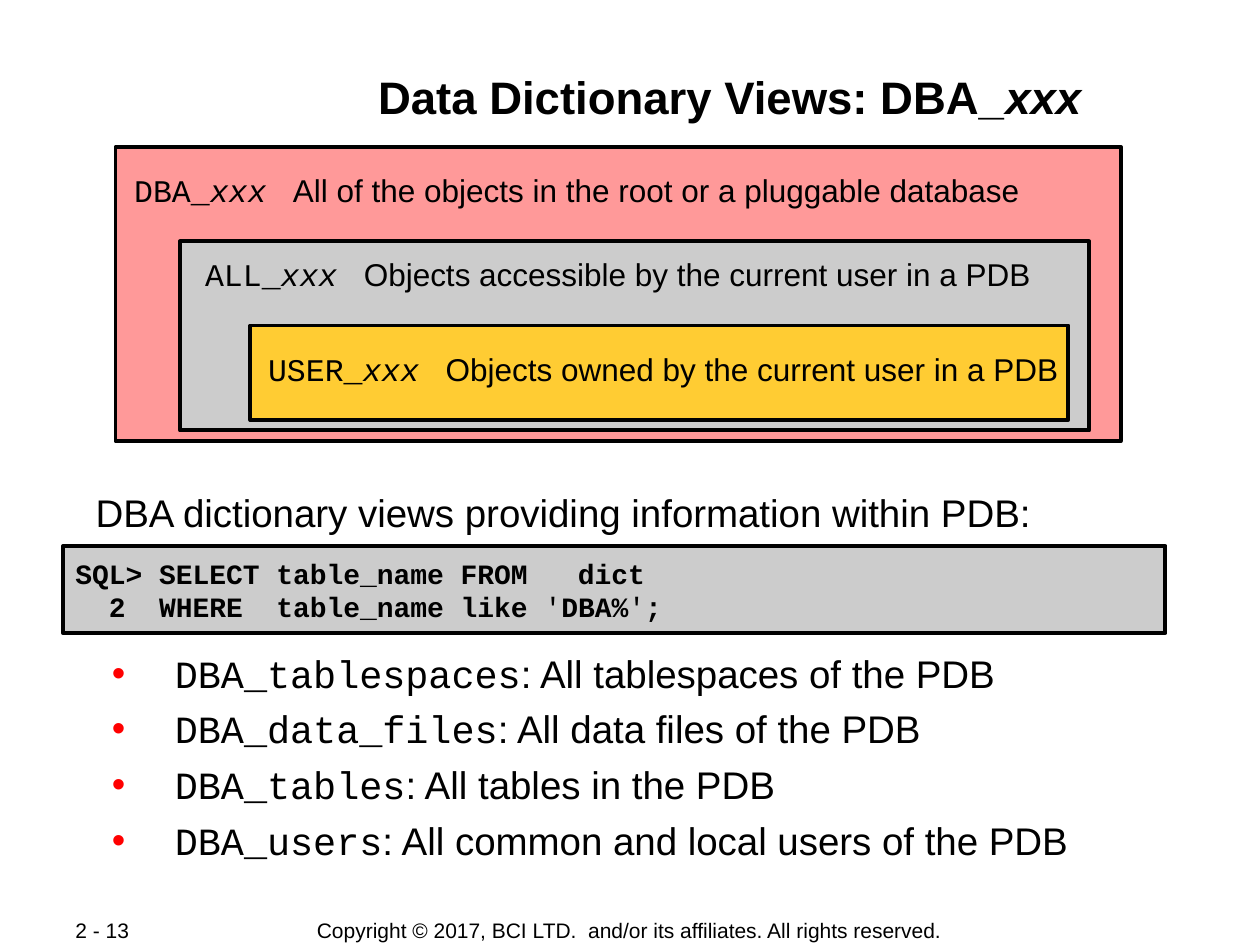
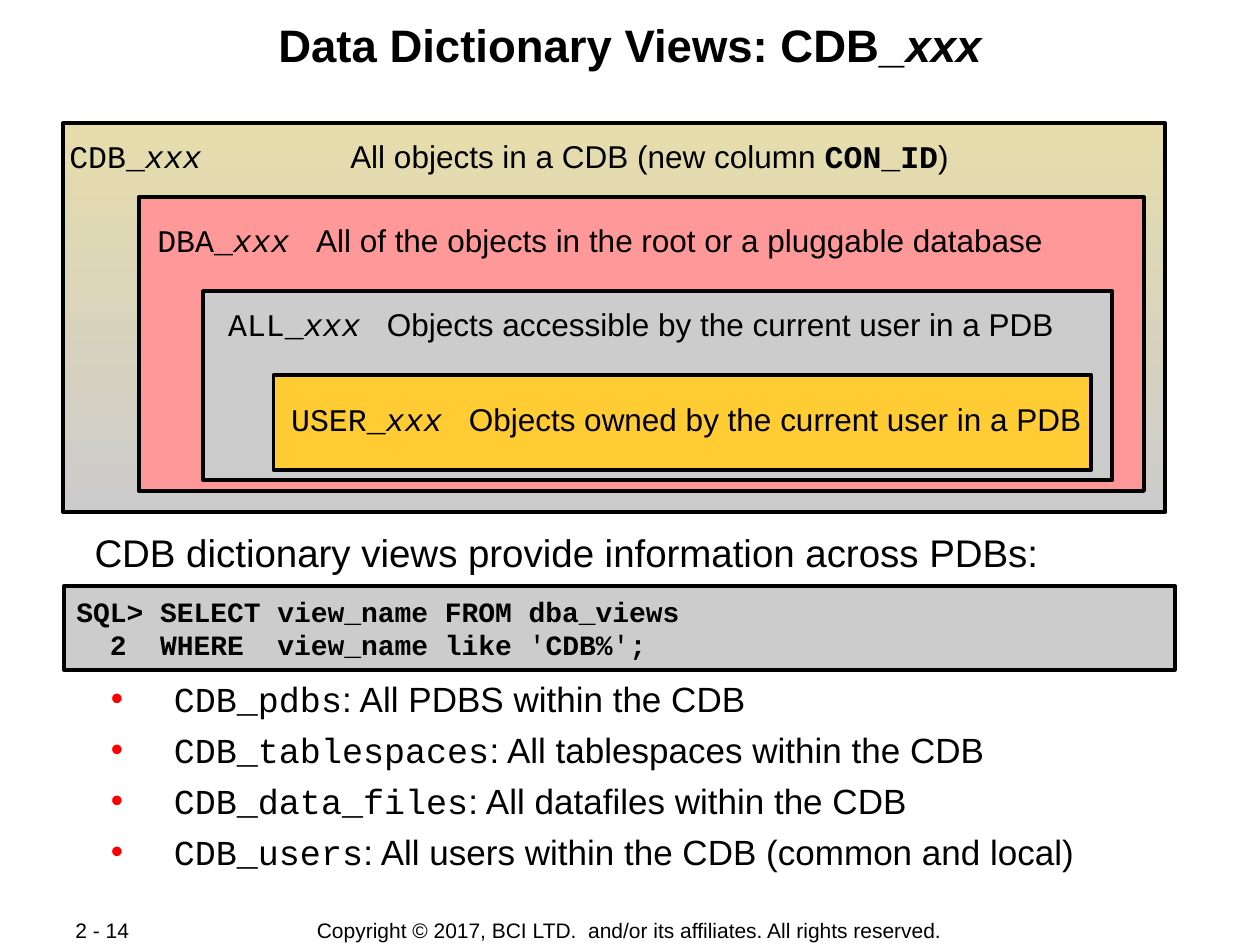
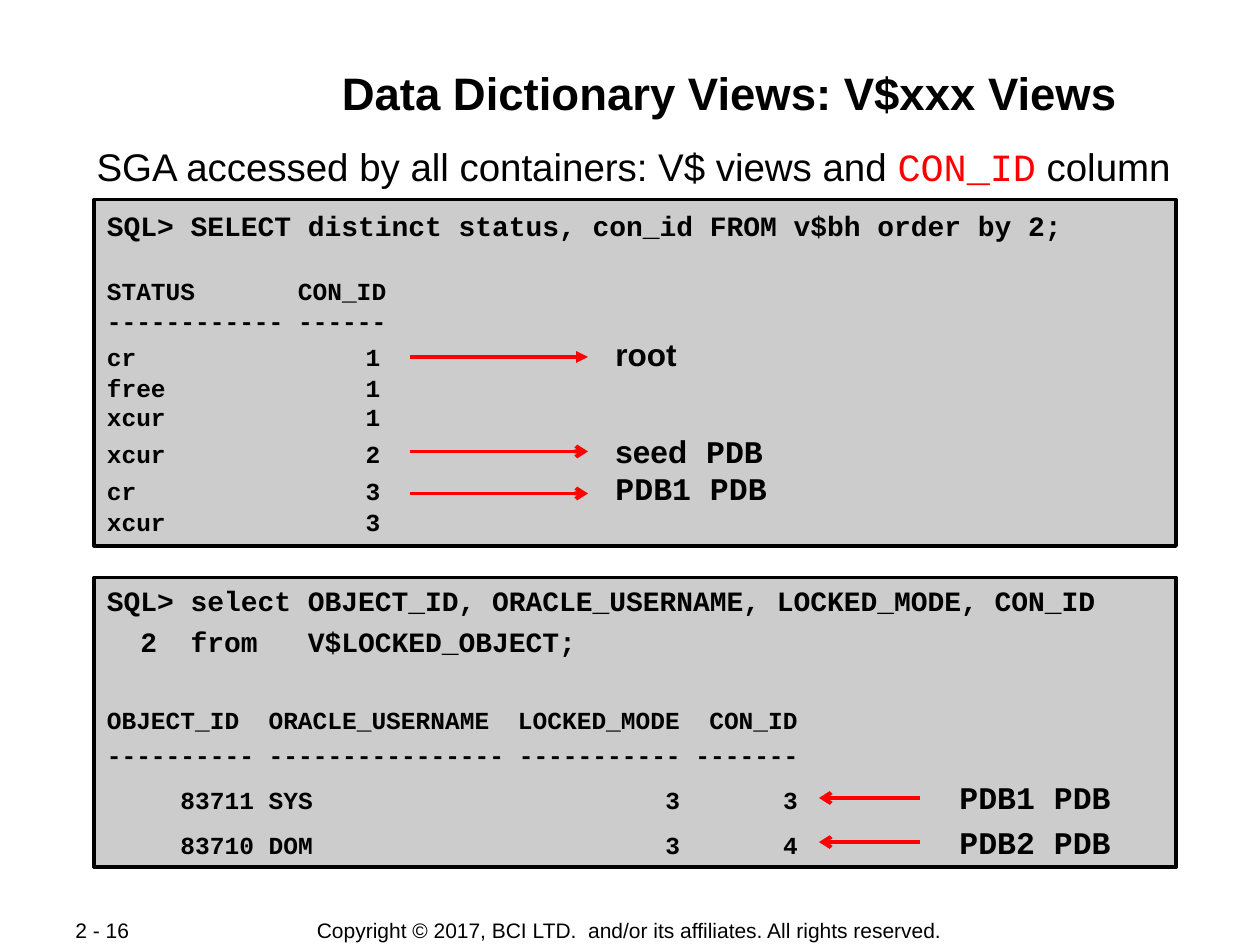
from lxml.etree import SubElement as sub
from pptx import Presentation
from pptx.dml.color import RGBColor
from pptx.enum.shapes import MSO_CONNECTOR as Link, MSO_SHAPE as Form
from pptx.enum.text import MSO_ANCHOR as Anchor, MSO_AUTO_SIZE as Auto, PP_ALIGN as Align
from pptx.oxml.ns import qn
from pptx.util import Inches, Pt

hue = RGBColor.from_string
BLACK, RED, PINK, GREY, GOLD, SAND = "000000", "FF0000", "FF9999", "CCCCCC", "FFCC33", "E6DCAC"

deck = Presentation()
deck.slide_width, deck.slide_height = Inches(10), Inches(7.5)
UNIT = deck.slide_width / 120  # the grid has 120 columns and 90 rows
CHAR = 0.6 * Pt(14)  # width of one letter in the query results

# Run formats
sans = dict(name="Arial")
mono = dict(name="Courier New")
head = dict(sans, bold=True)
code = dict(mono, bold=True)
tag = dict(code, size=Pt(18))
root = dict(head, size=Pt(18))
slant = dict(mono, italic=True)


def span(*area):
    """Turn grid columns and rows into slide lengths."""
    return [round(n * UNIT) for n in area]


def put(frame, lines, size, align=Align.LEFT):
    """Fill a frame; each line is (runs, options), each run (text, format, colour)."""
    frame.auto_size = Auto.NONE
    for i, (runs, opts) in enumerate(lines):
        para = frame.paragraphs[0] if i == 0 else frame.add_paragraph()
        para.alignment = align
        para.space_before = Pt(opts.get("gap", 0))
        para.line_spacing = opts.get("lead", 1.0)
        prop = para._p.get_or_add_pPr()
        dot = opts.get("dot", False)
        if "tabs" not in opts:  # LibreOffice drops tab stops next to an indent
            prop.set("marL", str(Inches(0.63) if dot else 0))
            prop.set("indent", str(Inches(-0.5) if dot else 0))
        if dot:
            sub(sub(prop, qn("a:buClr")), qn("a:srgbClr"), val=RED)
            sub(prop, qn("a:buFont"), typeface="Arial")
            sub(prop, qn("a:buChar"), char="•")
        else:
            sub(prop, qn("a:buNone"))
        if "tabs" in opts:
            tabs = sub(prop, qn("a:tabLst"))
            for pos, side in opts["tabs"]:
                sub(tabs, qn("a:tab"), pos=str(round(pos)), algn=side)
        for text, form, *tint in runs:
            run = para.add_run()
            run.text = text
            font = run.font
            look = dict(size=Pt(opts.get("size", size)), bold=False, italic=False) | form
            for key, val in look.items():
                setattr(font, key, val)
            font.color.rgb = hue(tint[0] if tint else BLACK)


# Nested views: name, text, offset and size of box, offset of label, fill
nest = [
    ("DBA_", "All of the objects in the root or a pluggable database",
     (0, 0, 95.75, 28), (0.6, 1), PINK),
    ("ALL_", "Objects accessible by the current user in a PDB",
     (6.15, 9, 86.6, 18), (7.35, 9), GREY),
    ("USER_", "Objects owned by the current user in a PDB",
     (12.85, 17, 77.9, 9), (13.35, 18), GOLD),
]

# Query results: tab stops in letters
stops = {
    "top": [(13, "l")],
    "row": [(18.6, "r"), (34.6, "l")],
    "lock": [(11, "l"), (39, "r"), (47, "r"), (58, "l")],
}
stops = {key: [(n * CHAR, side) for n, side in val] for key, val in stops.items()}
top, row, lock = [dict(size=14, tabs=val) for val in stops.values()]

status = [
    ([("SQL> SELECT distinct status, con_id FROM v$bh order by 2;", code)], {}),
    ([("STATUS\tCON_ID", code)], dict(top, gap=19.3)),
    ([("------------ ------", code)], top),
    ([("cr\t1\t", code), ("root", root)], row),
    ([("free\t1", code)], row),
    ([("xcur\t1", code)], row),
    ([("xcur\t2\t", code), ("seed", root), (" PDB", tag)], row),
    ([("cr\t3\t", code), ("PDB1 PDB", tag)], row),
    ([("xcur\t3", code)], row),
]
locks = [
    ([("SQL> select OBJECT_ID, ORACLE_USERNAME, LOCKED_MODE, CON_ID", code)], {}),
    ([("  2  from   V$LOCKED_OBJECT;", code)], dict(gap=4)),
    ([("OBJECT_ID\tORACLE_USERNAME\tLOCKED_MODE\tCON_ID", code)], dict(lock, gap=26.8)),
    ([("---------- ---------------- ----------- -------", code)], dict(lock, gap=3.5)),
    ([("     83711 SYS\t3\t3\t", code), ("PDB1 PDB", tag)], dict(lock, gap=4.5)),
    ([("     83710 DOM\t3\t4\t", code), ("PDB2 PDB", tag)], dict(lock, gap=4.5)),
]

pages = [
    dict(
        page="2 - 13", title=[("Data Dictionary Views: DBA_", head), ("xxx", head | slant | sans)],
        spot=(19, 6, 101, 11.5), body=(7.9, 46, 104, 32), nest=(11, 14),
        lead=[("DBA dictionary views providing information within PDB:", sans)],
        size=22, gap=65.2, step=5.5,
        list=[("DBA_tablespaces", "All tablespaces of the PDB"),
              ("DBA_data_files", "All data files of the PDB"),
              ("DBA_tables", "All tables in the PDB"),
              ("DBA_users", "All common and local users of the PDB")],
        code=[((6, 52, 105, 8.3), [
            ([("SQL> SELECT table_name FROM   dict", code)], {}),
            ([("  2  WHERE  table_name like ", code), ("'", mono), ("DBA%", code),
              ("'", mono), (";", code)], {})])],
    ),
    dict(
        page="2 - 14", title=[("Data Dictionary Views: CDB_", head), ("xxx", head | slant | sans)],
        spot=(8, 1, 104, 11.5), body=(7.8, 49.8, 104, 37), nest=(13.2, 18.75),
        outer=(6, 11.75, 105, 37),
        lead=[("CDB dictionary views provide information across PDBs:", sans)],
        size=20, gap=58.6, step=5,
        list=[("CDB_pdbs", "All PDBS within the CDB"),
              ("CDB_tablespaces", "All tablespaces within the CDB"),
              ("CDB_data_files", "All datafiles within the CDB"),
              ("CDB_users", "All users within the CDB (common and local)")],
        code=[((6.1, 55.8, 105.8, 8), [
            ([("SQL> SELECT view_name FROM dba_views", code)], {}),
            ([("  2  WHERE  view_name like ", code), ("'", mono), ("CDB%", code),
              ("'", mono), (";", code)], {})])],
    ),
    dict(
        page="2 - 16", title=[("Data Dictionary Views: V$xxx Views", head)],
        spot=(19, 5.6, 101, 11.5), body=(8, 13, 106, 66),
        lead=[("SGA accessed by all containers: V$ views and ", sans),
              ("CON_ID", mono, RED), (" column", sans)],
        code=[((9, 19, 103, 33), status), ((9, 55, 103, 27.6), locks)],
        arrows=[(39, 56, 34, "tailEnd", "triangle"), (39, 56, 43, "tailEnd", "arrow"),
                (39, 56, 47, "tailEnd", "arrow"), (78, 87.6, 76, "headEnd", "arrow"),
                (78, 87.6, 80.2, "headEnd", "arrow")],
    ),
]
foot = "Copyright © 2017, BCI LTD.  and/or its affiliates. All rights reserved."

for page in pages:
    slide = deck.slides.add_slide(deck.slide_layouts[1])
    shapes = slide.shapes
    title, body = slide.placeholders
    for hold, area in (title, page["spot"]), (body, page["body"]):
        hold.left, hold.top, hold.width, hold.height = span(*area)
        hold.text_frame.vertical_anchor = Anchor.TOP
    put(title.text_frame, [(page["title"], {})], 26, Align.CENTER)

    lines = [(page["lead"], {})]
    for i, (name, text) in enumerate(page.get("list", [])):
        gap = page["step"] if i else page["gap"]
        lines.append(([(name, mono), (": " + text, sans)],
                      dict(dot=True, gap=gap, size=page["size"])))
    put(body.text_frame, lines, 22)

    # Boxes: area, fill, lines, text size, side and top insets, anchor
    cards, notes = [], []
    if "outer" in page:
        text = [("CDB_", mono), ("xxx", slant), ("\tAll objects in a CDB (new column ", sans),
                ("CON_ID", code), (")", sans)]
        line = (text, dict(lead=1.2, tabs=[(Inches(2.23), "l")]))
        cards.append((page["outer"], SAND, [line], 18, 0.05, 0.05, Anchor.TOP))
    if "nest" in page:
        x, y = page["nest"]
        for name, text, (dx, dy, w, h), (tx, ty), fill in nest:
            cards.append(((x + dx, y + dy, w, h), fill, [], 18, 0.1, 0.05, Anchor.TOP))
            stop = Inches(0.15 * len(name + "xxx") + 0.21)
            runs = [(name, mono), ("xxx", slant), ("\t" + text, sans)]
            notes.append(((x + tx, y + ty, 92, 5.5), [(runs, dict(lead=1.2, tabs=[(stop, "l")]))]))
    for area, lines in page["code"]:
        cards.append((area, GREY, lines, 16, 0.1, 0.01, Anchor.MIDDLE))

    for area, fill, lines, size, side, rim, anchor in cards:
        card = shapes.add_shape(Form.RECTANGLE, *span(*area))
        card.shadow.inherit = False
        if fill == SAND:
            card.fill.gradient()
            card.fill.gradient_angle = 270
            for stop, tint, pos in zip(card.fill.gradient_stops, (SAND, GREY), (0, 1)):
                stop.color.rgb, stop.position = hue(tint), pos
        else:
            card.fill.solid()
            card.fill.fore_color.rgb = hue(fill)
        card.line.color.rgb, card.line.width = hue(BLACK), Pt(2.25)
        frame = card.text_frame
        look = dict(margin_left=Inches(side), margin_right=Inches(side), margin_top=Inches(rim),
                    margin_bottom=Inches(rim), word_wrap=True, vertical_anchor=anchor)
        for key, val in look.items():
            setattr(frame, key, val)
        put(frame, lines, size)

    for area, lines in notes:
        frame = shapes.add_textbox(*span(*area)).text_frame
        frame.word_wrap = True
        put(frame, lines, 18)

    for x, end, y, tip, kind in page.get("arrows", []):
        arrow = shapes.add_connector(Link.STRAIGHT, *span(x, y, end, y))
        arrow.line.color.rgb, arrow.line.width = hue(RED), Pt(2.25)
        prop = arrow._element.spPr
        sub(prop.find(qn("a:ln")), qn("a:" + tip), type=kind)
        sub(prop, qn("a:effectLst"))

    for area, text, align in [((33, 87.3, 53.9, 2.5), foot, Align.CENTER),
                              ((6, 87.3, 12.7, 2.5), page["page"], Align.LEFT)]:
        frame = shapes.add_textbox(*span(*area)).text_frame
        frame.margin_top = frame.margin_bottom = 0
        frame.vertical_anchor = Anchor.MIDDLE
        frame.word_wrap = False
        put(frame, [([(text, sans)], {})], 12, align)

deck.save("out.pptx")
